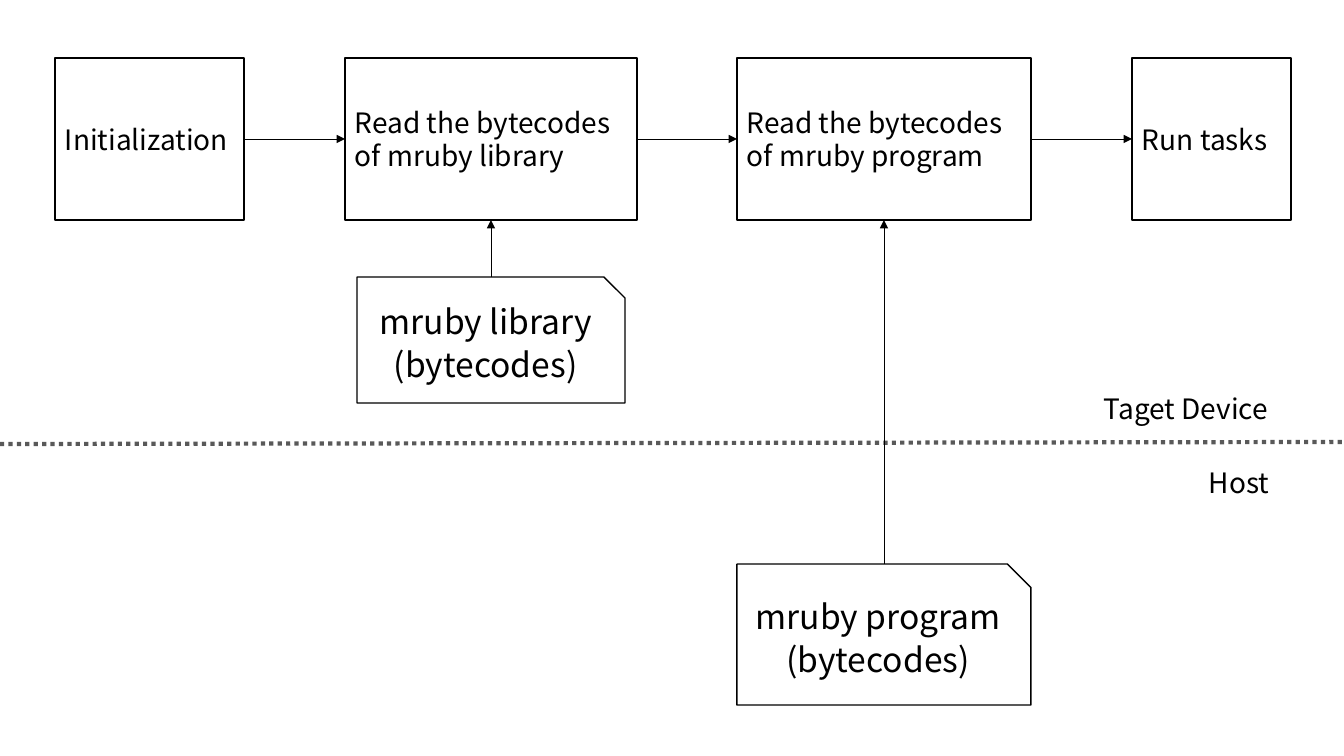
"""Build a slide showing how a target device loads and runs mruby bytecodes."""
from lxml.etree import SubElement
from pptx import Presentation
from pptx.dml.color import RGBColor
from pptx.enum.dml import MSO_LINE_DASH_STYLE as Dash
from pptx.enum.shapes import MSO_CONNECTOR as Connector, MSO_SHAPE as Shape
from pptx.enum.text import MSO_ANCHOR as Anchor, PP_ALIGN as Align
from pptx.oxml.ns import qn
from pptx.util import Pt

PX = 914400 / 100.8
FONT = "Noto Sans CJK JP"
BLACK, WHITE, GRAY = "000000", "FFFFFF", "595959"

deck = Presentation()
deck.slide_width, deck.slide_height = round(1344 * PX), round(756 * PX)
page = deck.slides.add_slide(deck.slide_layouts[6])


def add_box(kind, bounds, lines, size, align=Align.LEFT, outlined=True):
    box = page.shapes.add_shape(kind, *(round(value * PX) for value in bounds))
    box.shadow.inherit = False
    box.fill.solid()
    box.fill.fore_color.rgb = RGBColor.from_string(WHITE)
    if outlined:
        box.line.color.rgb = RGBColor.from_string(BLACK)
        box.line.width = Pt(1)
    else:
        box.line.fill.background()
    frame = box.text_frame
    frame.word_wrap = True
    frame.vertical_anchor = Anchor.MIDDLE
    frame.text = "\n".join(lines)
    for para in frame.paragraphs:
        para.alignment = align
        para.font.name = FONT
        para.font.size = Pt(size)
        para.font.color.rgb = RGBColor.from_string(BLACK)
    return box


def add_line(start, end, color, width):
    line = page.shapes.add_connector(
        Connector.STRAIGHT, *(round(value * PX) for value in start + end))
    line.line.color.rgb = RGBColor.from_string(color)
    line.line.width = Pt(width)
    SubElement(line.element.spPr, qn("a:effectLst"))
    return line


STEP_TOP, STEP_HEIGHT = 58, 162
step_middle = STEP_TOP + STEP_HEIGHT // 2
step_bottom = STEP_TOP + STEP_HEIGHT
steps = [
    (55, 189, "Initialization"),
    (345, 292, "Read the bytecodes of mruby library"),
    (737, 294, "Read the bytecodes of mruby program"),
    (1132, 159, "Run tasks"),
]
for left, width, text in steps:
    add_box(Shape.RECTANGLE, (left, STEP_TOP, width, STEP_HEIGHT), [text], 20)

arrows = [((left + width, step_middle), (following[0], step_middle))
          for (left, width, _), following in zip(steps, steps[1:])]

bytecode_files = [
    (357, 277, 268, 126, "mruby library"),
    (737, 564, 294, 141, "mruby program"),
]
for left, top, width, height, name in bytecode_files:
    card = add_box(Shape.SNIP_1_RECTANGLE, (left, top, width, height),
                   [name, "(bytecodes)"], 24, Align.CENTER)
    for para in card.text_frame.paragraphs:
        para.line_spacing = 0.9
    para.space_before = Pt(4.8)
    center = left + width // 2
    arrows.append(((center, top), (center, step_bottom)))

divider = add_line((0, 444), (1344, 442), GRAY, 3)
divider.line.dash_style = Dash.ROUND_DOT

for start, end in arrows:
    arrow = add_line(start, end, BLACK, 0.5)
    SubElement(arrow.line._get_or_add_ln(), qn("a:tailEnd"), type="triangle")

for left, top, width, text in [(1094, 386, 197, "Taget Device"), (1199, 460, 92, "Host")]:
    add_box(Shape.RECTANGLE, (left, top, width, 44), [text], 20, outlined=False)

deck.save("out.pptx")
